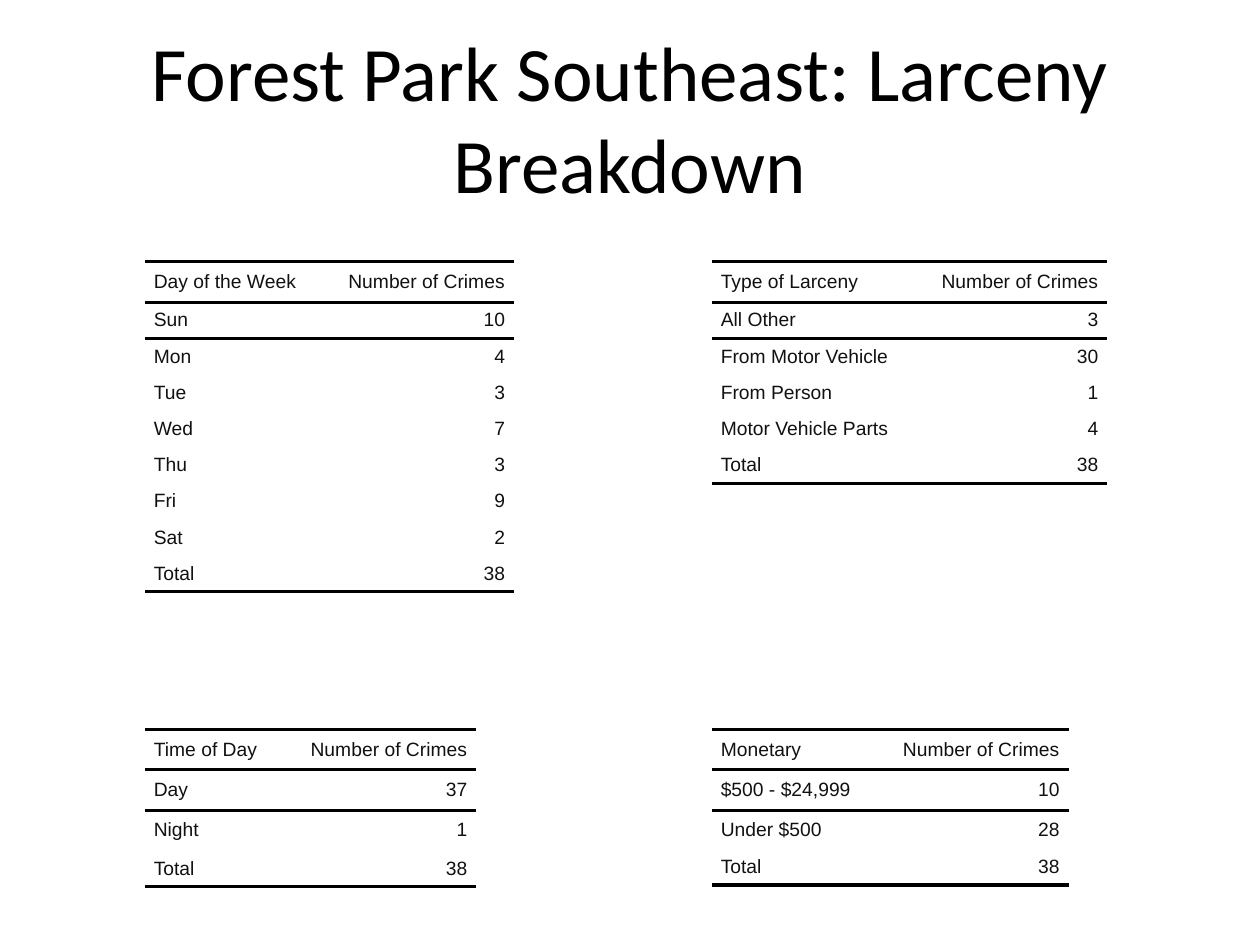
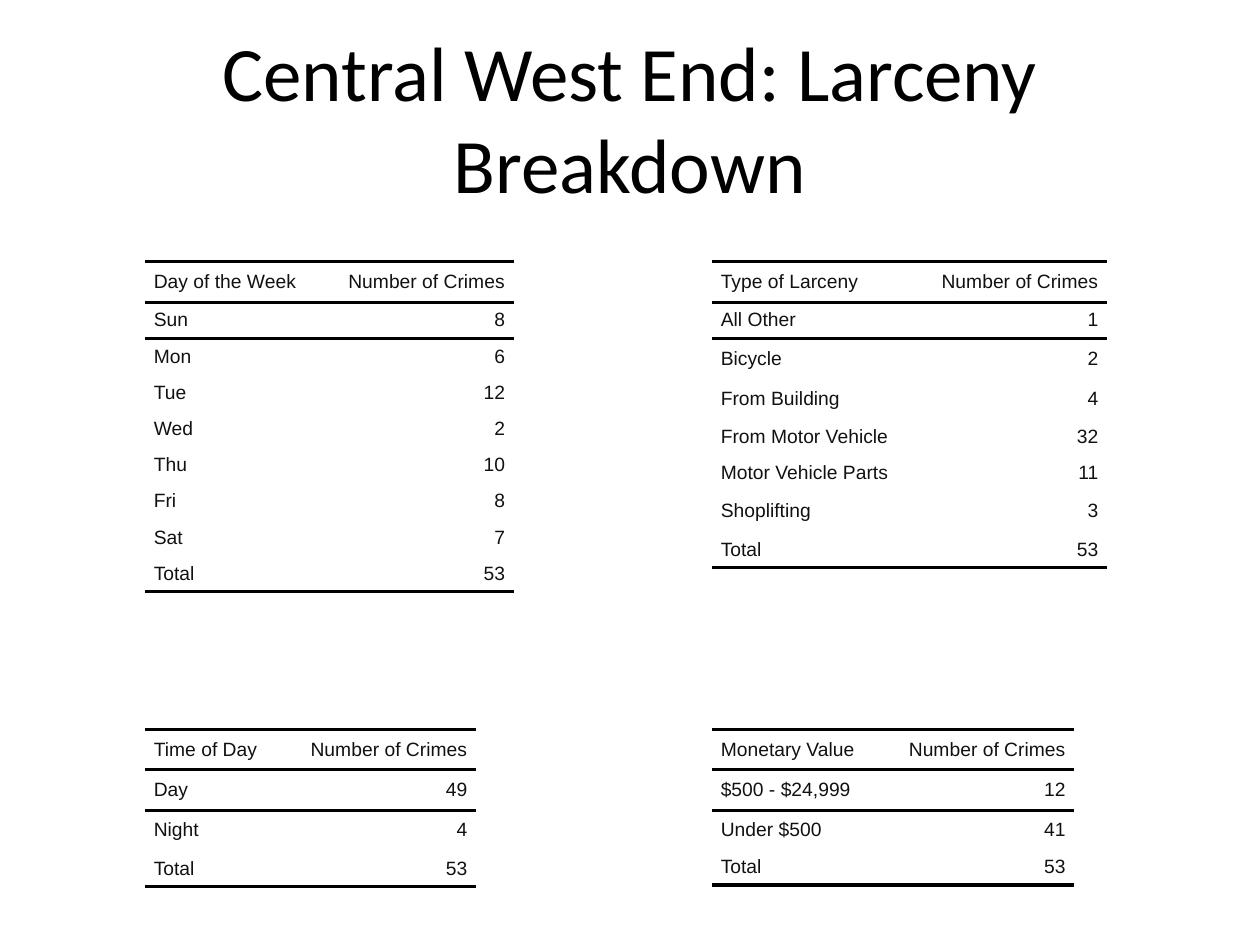
import pptx
import pptx.dml.color
import pptx.enum.text
import pptx.oxml.ns
import pptx.util
from lxml import etree

Cm, Pt = pptx.util.Cm, pptx.util.Pt
ALIGN = pptx.enum.text.PP_ALIGN
MIDDLE = pptx.enum.text.MSO_ANCHOR.MIDDLE
qn = pptx.oxml.ns.qn

# Shared look
BLACK, INK = "000000", "111111"
PLAIN = "{2D5ABB26-0587-4C30-8999-92F81FD0307C}"  # table style without grid
LEFT, RIGHT = 2.92, 14.35
UPPER, LOWER = 5.28, 14.71
COUNT = "Number of Crimes"
COUNT_W = 3.86
LOW, TALL = 0.73, 0.81
HEIGHTS = {"Under $500": 0.78} | dict.fromkeys(
    ["Day", "Night", "Bicycle", "From Building", "Shoplifting", "$500 - $24,999"], TALL)

# Row labels common to both districts
DAYS = ["Sun", "Mon", "Tue", "Wed", "Thu", "Fri", "Sat"]
TIMES = ["Day", "Night"]
SUMS = ["$500 - $24,999", "Under $500"]


def color(code):
    return pptx.dml.color.RGBColor.from_string(code)


def style(para, size, face, code):
    for run in para.runs:
        run.font.size, run.font.name = Pt(size), face
        run.font.color.rgb = color(code)


def title(slide, text):
    box = slide.shapes.title
    box.left, box.top, box.width, box.height = Cm(1.27), Cm(0.76), Cm(22.86), Cm(3.18)
    frame = box.text_frame
    frame.text = text
    frame.auto_size = pptx.enum.text.MSO_AUTO_SIZE.NONE
    frame.vertical_anchor = MIDDLE
    frame.paragraphs[0].alignment = ALIGN.CENTER
    style(frame.paragraphs[0], 44, "Calibri", BLACK)


def rule(cell, sides):
    """Draw 2 pt borders; call before the cell's fill is set."""
    props = cell._tc.get_or_add_tcPr()
    for side in sides:
        line = etree.SubElement(props, qn("a:ln" + side), w=str(Pt(2)))
        fill = etree.SubElement(line, qn("a:solidFill"))
        etree.SubElement(fill, qn("a:srgbClr"), val=BLACK)


def fill_cell(cell, text, align, sides):
    rule(cell, sides)
    cell.fill.background()
    cell.vertical_anchor = MIDDLE
    cell.margin_left = cell.margin_right = cell.margin_top = cell.margin_bottom = 0
    cell.text_frame.text = text
    para = cell.text_frame.paragraphs[0]
    para.alignment = align
    para.space_before = para.space_after = Pt(2)
    for key in ("marL", "marR"):
        para._p.get_or_add_pPr().set(key, str(Cm(0.18)))
    style(para, 11, "Arial", INK)


def tally(slide, left, top, width, head, labels, counts):
    """Place a two-column table of counts, closed by their total."""
    rows = [(head, COUNT), *zip(labels, counts), ("Total", sum(counts))]
    last = len(rows) - 1
    heights = [TALL] + [HEIGHTS.get(label, LOW) for label, _ in rows[1:]]
    frame = slide.shapes.add_table(len(rows), 2, Cm(left), Cm(top),
                                   Cm(width + COUNT_W), Cm(sum(heights)))
    table = frame.table
    table.first_row = table.horz_banding = False
    table._tbl.tblPr.find(qn("a:tableStyleId")).text = PLAIN
    table.columns[0].width, table.columns[1].width = Cm(width), Cm(COUNT_W)
    for r, (row, height) in enumerate(zip(rows, heights)):
        table.rows[r].height = Cm(height)
        sides = {0: "TB", 1: "T", last: "B"}.get(r, "")
        for c, align in enumerate((ALIGN.LEFT, ALIGN.RIGHT)):
            fill_cell(table.cell(r, c), str(row[c]), align, sides)


def district(deck, name, days, times, kinds, money, sums):
    slide = deck.slides.add_slide(deck.slide_layouts[5])
    title(slide, name + ": Larceny Breakdown")
    tally(slide, LEFT, UPPER, 3.58, "Day of the Week", DAYS, days)
    tally(slide, LEFT, LOWER, 2.82, "Time of Day", TIMES, times)
    tally(slide, RIGHT, UPPER, 4.11, "Type of Larceny", kinds.keys(), kinds.values())
    head, width = money
    tally(slide, RIGHT, LOWER, width, head, SUMS, sums)


def main():
    deck = pptx.Presentation()
    deck.slide_width, deck.slide_height = Cm(25.4), Cm(19.05)
    district(deck, "Forest Park Southeast",
             days=[10, 4, 3, 7, 3, 9, 2], times=[37, 1],
             kinds={"All Other": 3, "From Motor Vehicle": 30, "From Person": 1,
                    "Motor Vehicle Parts": 4},
             money=("Monetary", 3.33), sums=[10, 28])
    district(deck, "Central West End",
             days=[8, 6, 12, 2, 10, 8, 7], times=[49, 4],
             kinds={"All Other": 1, "Bicycle": 2, "From Building": 4,
                    "From Motor Vehicle": 32, "Motor Vehicle Parts": 11,
                    "Shoplifting": 3},
             money=("Monetary Value", 3.45), sums=[12, 41])
    deck.save("out.pptx")


if __name__ == "__main__":
    main()
